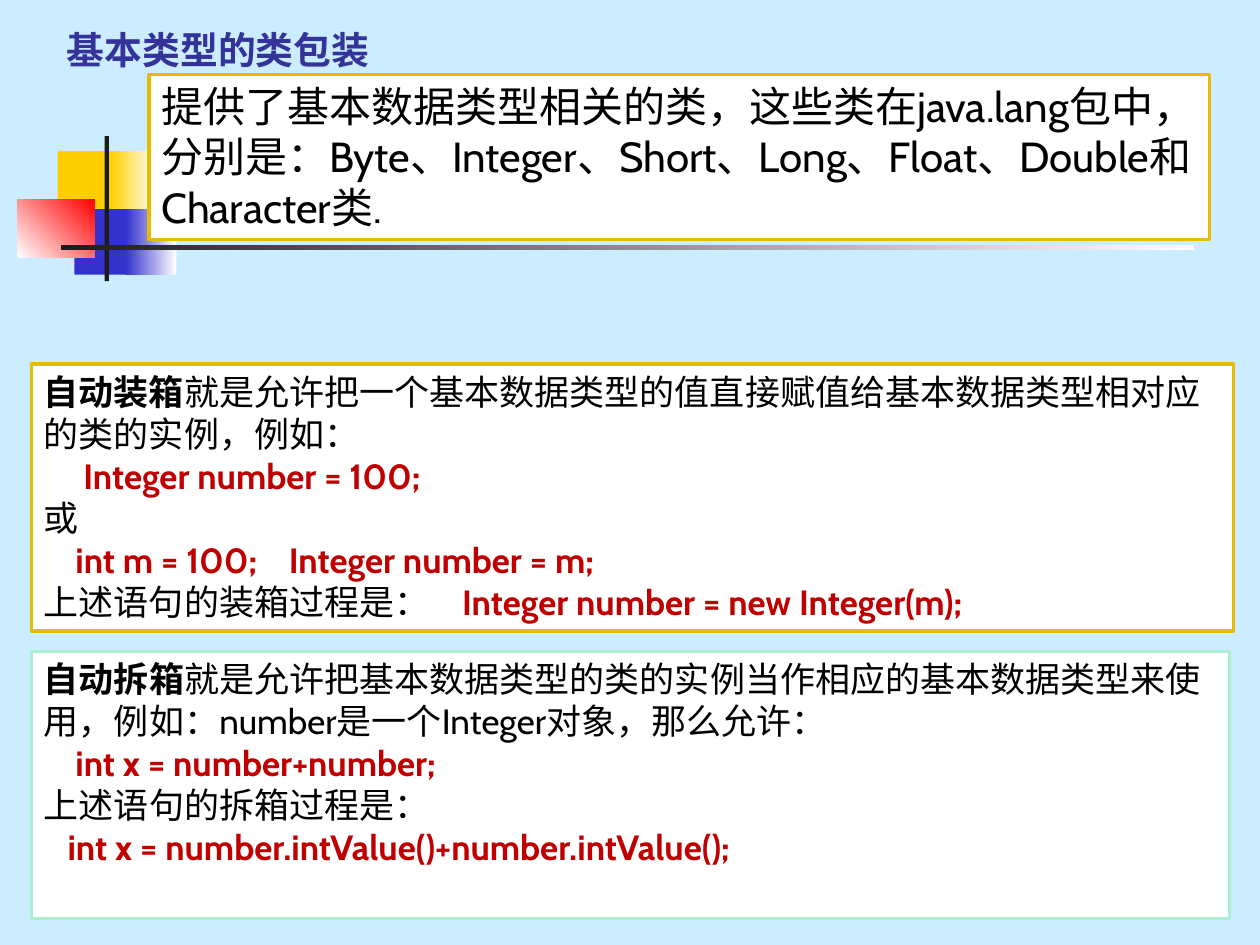
"""Build the slide on wrapper classes, autoboxing and unboxing."""
from dataclasses import dataclass

from lxml.etree import SubElement
from pptx import Presentation
from pptx.dml.color import RGBColor
from pptx.enum.shapes import MSO_SHAPE as Preset
from pptx.enum.text import MSO_ANCHOR as Anchor, MSO_AUTO_SIZE as AutoSize, PP_ALIGN as Align
from pptx.oxml.ns import qn
from pptx.util import Pt

FONT = "Cabin"
BLACK, WHITE, CODE_RED, GOLD = "000000", "FFFFFF", "C00000", "E7BB01"
YELLOW, BLUE, INK = "FFCF01", "3333CC", "1C1C1C"


@dataclass(frozen=True)
class Block:
    left: float
    top: float
    width: float
    height: float
    start: str
    end: str = ""
    angle: float = 0


@dataclass(frozen=True)
class Piece:
    text: str
    color: str = BLACK
    bold: bool = False


@dataclass(frozen=True)
class Line:
    pieces: tuple[Piece, ...]
    tab: float = 0


@dataclass(frozen=True)
class Panel:
    left: float
    top: float
    width: float
    height: float
    border: str
    size: float
    lines: tuple[Line, ...]


def code(text: str) -> Piece:
    """Return a bold red run of code."""
    return Piece(text, CODE_RED, True)


def term(text: str) -> Piece:
    """Return a bold black run."""
    return Piece(text, bold=True)


BLOCKS = (
    Block(33, 86.4, 34.6, 37.4, YELLOW),
    Block(63.4, 86.4, 25.9, 37.4, YELLOW, WHITE),
    Block(42.5, 119.5, 33.1, 37.4, BLUE),
    Block(72, 119.5, 28.8, 37.4, BLUE, WHITE),
    Block(10, 113.8, 44, 33.1, WHITE, "FF0000", 45),
    Block(59.8, 77.8, 2.5, 82.8, INK),
    Block(34.6, 140.2, 648, 2.5, INK, WHITE),
)

PANELS = (
    Panel(85, 42.5, 606.2, 94.3, GOLD, 24, (
        Line((Piece("提供了基本数据类型相关的类，这些类在java.lang包中，分别是："
                    "Byte、Integer、Short、Long、Float、Double和Character类."),)),
    )),
    Panel(18, 208.1, 686.9, 152.6, GOLD, 20, (
        Line((term("自动装箱"),
              Piece("就是允许把一个基本数据类型的值直接赋值给基本数据类型相对应的类的实例，例如："))),
        Line((code("     Integer number = 100;"),)),
        Line((Piece("或"),)),
        Line((code("    int m = 100;\tInteger number = m;"),), 140),
        Line((Piece("上述语句的装箱过程是："), code("\tInteger number = new Integer(m);")), 239),
    )),
    Panel(18, 372.2, 684.7, 152.6, "AAEFD1", 20, (
        Line((term("自动拆箱"),
              Piece("就是允许把基本数据类型的类的实例当作相应的基本数据类型来使用，例如："
                    "number是一个Integer对象，那么允许："))),
        Line((code("    int x = number+number;"),)),
        Line((Piece("上述语句的拆箱过程是："),)),
        Line((code("   int x = number.intValue()+number.intValue();"),)),
    )),
)


def rgb(color: str) -> RGBColor:
    """Turn a hex string into a colour."""
    return RGBColor.from_string(color)


def add_rectangle(slide, item: Block | Panel):
    """Add a rectangle without a shadow."""
    shape = slide.shapes.add_shape(Preset.RECTANGLE, Pt(item.left), Pt(item.top),
                                   Pt(item.width), Pt(item.height))
    shape.shadow.inherit = False
    return shape


def add_block(slide, block: Block) -> None:
    """Draw one plain or graded ornament block."""
    shape = add_rectangle(slide, block)
    shape.line.fill.background()
    if not block.end:
        shape.fill.solid()
        shape.fill.fore_color.rgb = rgb(block.start)
        return
    shape.fill.gradient()
    shape.fill.gradient_angle = block.angle
    for stop, color in zip(shape.fill.gradient_stops, (block.start, block.end)):
        stop.color.rgb = rgb(color)


def add_run(paragraph, piece: Piece, size: float) -> None:
    """Append one formatted run."""
    run = paragraph.add_run()
    run.text = piece.text
    run.font.name = FONT
    run.font.size = Pt(size)
    run.font.bold = piece.bold
    run.font.color.rgb = rgb(piece.color)


def set_tab(paragraph, position: float) -> None:
    """Give a paragraph one left tab stop."""
    tabs = SubElement(paragraph._p.get_or_add_pPr(), qn("a:tabLst"))
    SubElement(tabs, qn("a:tab"), pos=str(Pt(position)), algn="l")


def add_panel(slide, panel: Panel) -> None:
    """Draw one bordered text panel."""
    shape = add_rectangle(slide, panel)
    shape.fill.solid()
    shape.fill.fore_color.rgb = rgb(WHITE)
    shape.line.color.rgb = rgb(panel.border)
    shape.line.width = Pt(2)
    frame = shape.text_frame
    frame.word_wrap = True
    frame.vertical_anchor = Anchor.TOP
    for index, line in enumerate(panel.lines):
        paragraph = frame.add_paragraph() if index else frame.paragraphs[0]
        paragraph.alignment = Align.LEFT
        if line.tab:
            set_tab(paragraph, line.tab)
        for piece in line.pieces:
            add_run(paragraph, piece, panel.size)


def set_title(slide, text: str) -> None:
    """Place and format the title."""
    title = slide.shapes.title
    title.left, title.top, title.width, title.height = Pt(31), Pt(12), Pt(334.8), Pt(32)
    frame = title.text_frame
    frame.auto_size = AutoSize.NONE
    frame.word_wrap = True
    frame.vertical_anchor = Anchor.MIDDLE
    frame.paragraphs[0].alignment = Align.LEFT
    add_run(frame.paragraphs[0], Piece(text, "333399", True), 21.6)


def main() -> None:
    """Build and save the presentation."""
    presentation = Presentation()
    presentation.slide_width, presentation.slide_height = Pt(720), Pt(540)
    slide = presentation.slides.add_slide(presentation.slide_layouts[5])
    slide.background.fill.solid()
    slide.background.fill.fore_color.rgb = rgb("CCECFF")
    set_title(slide, "基本类型的类包装")
    for block in BLOCKS:
        add_block(slide, block)
    for panel in PANELS:
        add_panel(slide, panel)
    presentation.save("out.pptx")


if __name__ == "__main__":
    main()
